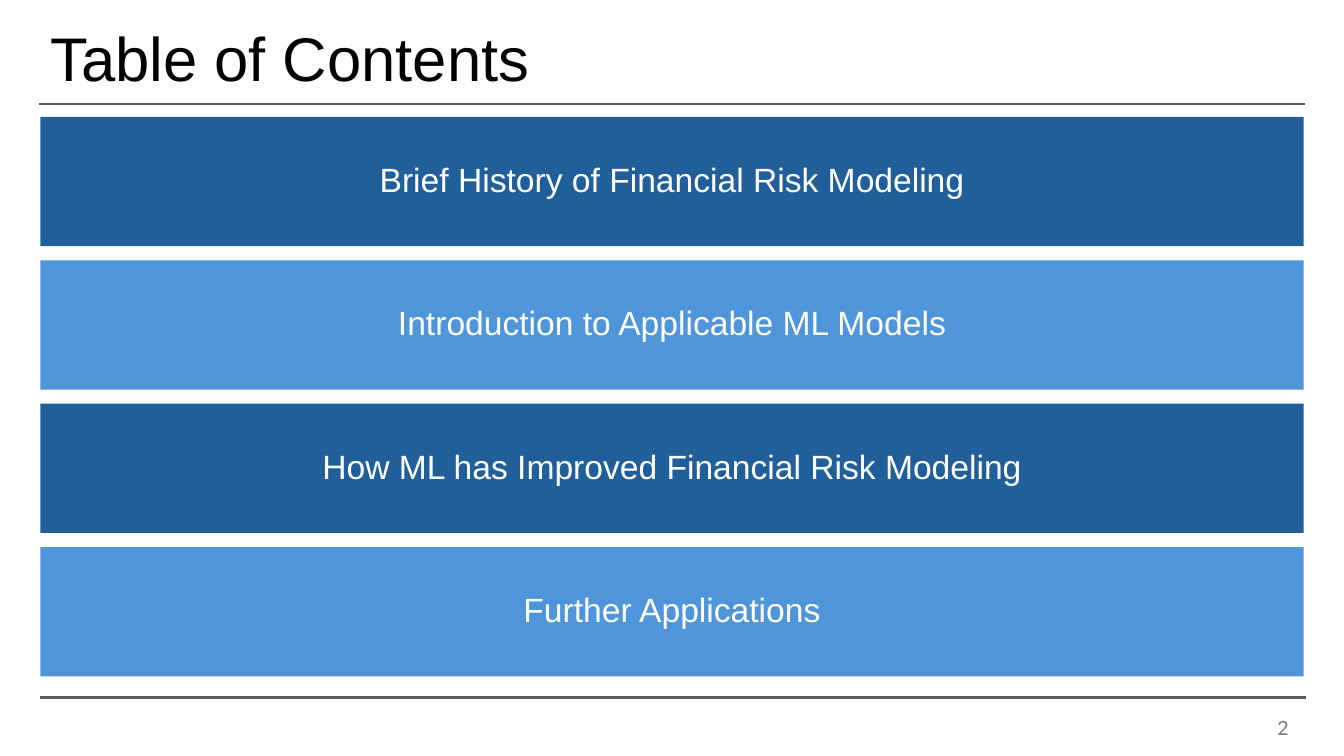
import pptx
import pptx.dml.color
import pptx.enum.shapes
import pptx.enum.text
import pptx.oxml.ns
import pptx.oxml.xmlchemy
import pptx.util

Inches = pptx.util.Inches
ALIGN = pptx.enum.text.PP_ALIGN

TOPICS = [
    "Brief History of Financial Risk Modeling",
    "Introduction to Applicable ML Models",
    "How ML has Improved Financial Risk Modeling",
    "Further Applications",
]
BAR_FILLS = ["215F9A", "4E95D9"]
MARGIN = 0.4
CONTENT_WIDTH = 12.53


def color(value):
    return pptx.dml.color.RGBColor.from_string(value)


def write(shape, text, size, ink, align, font="Arial"):
    frame = shape.text_frame
    frame.text = text
    frame.word_wrap = True
    frame.vertical_anchor = pptx.enum.text.MSO_ANCHOR.MIDDLE
    para = frame.paragraphs[0]
    para.alignment = align
    span = para.runs[0]
    span.font.name = font
    span.font.size = pptx.util.Pt(size)
    span.font.color.rgb = color(ink)
    return para


def add_text(page, box, *style):
    shape = page.shapes.add_textbox(*map(Inches, box))
    return write(shape, *style)


def add_rule(page, left, top, width):
    rule = page.shapes.add_connector(
        pptx.enum.shapes.MSO_CONNECTOR.STRAIGHT,
        Inches(left), Inches(top), Inches(left + width), Inches(top))
    rule.line.color.rgb = color("59595A")
    rule.line.width = pptx.util.Pt(1.5)
    properties = rule.element.find(pptx.oxml.ns.qn("p:spPr"))
    properties.append(pptx.oxml.xmlchemy.OxmlElement("a:effectLst"))


def add_title(page, box, text):
    para = add_text(page, box, text, 44, "000000", ALIGN.LEFT)
    para.line_spacing = 0.9


def add_topic_bars(page, box, topics, gap):
    left, top, width, height = box
    bar_height = (height - gap * (len(topics) - 1)) / len(topics)
    for index, topic in enumerate(topics):
        bar = page.shapes.add_shape(
            pptx.enum.shapes.MSO_SHAPE.RECTANGLE,
            Inches(left), Inches(top + index * (bar_height + gap)),
            Inches(width), Inches(bar_height))
        bar.shadow.inherit = False
        bar.fill.solid()
        bar.fill.fore_color.rgb = color(BAR_FILLS[index % len(BAR_FILLS)])
        bar.line.fill.background()
        para = write(bar, topic, 24, "FFFFFF", ALIGN.CENTER)
        para.line_spacing = 0.9
        para.space_before = pptx.util.Pt(10)


def add_page_number(page, box, number):
    add_text(page, box, number, 14, "797979", ALIGN.RIGHT, "Lato")


def main():
    deck = pptx.Presentation()
    deck.slide_width = Inches(13.33)
    deck.slide_height = Inches(7.5)
    page = deck.slides.add_slide(deck.slide_layouts[6])
    add_rule(page, 0.39, 1.03, 12.55)
    add_rule(page, MARGIN, 6.92, 12.55)
    add_topic_bars(page, (MARGIN, 1.16, CONTENT_WIDTH, 5.55), TOPICS, 0.14)
    add_title(page, (MARGIN, 0.19, CONTENT_WIDTH, 0.85), "Table of Contents")
    add_page_number(page, (9.88, 7.02, 3, 0.4), "2")
    deck.save("out.pptx")


if __name__ == "__main__":
    main()
